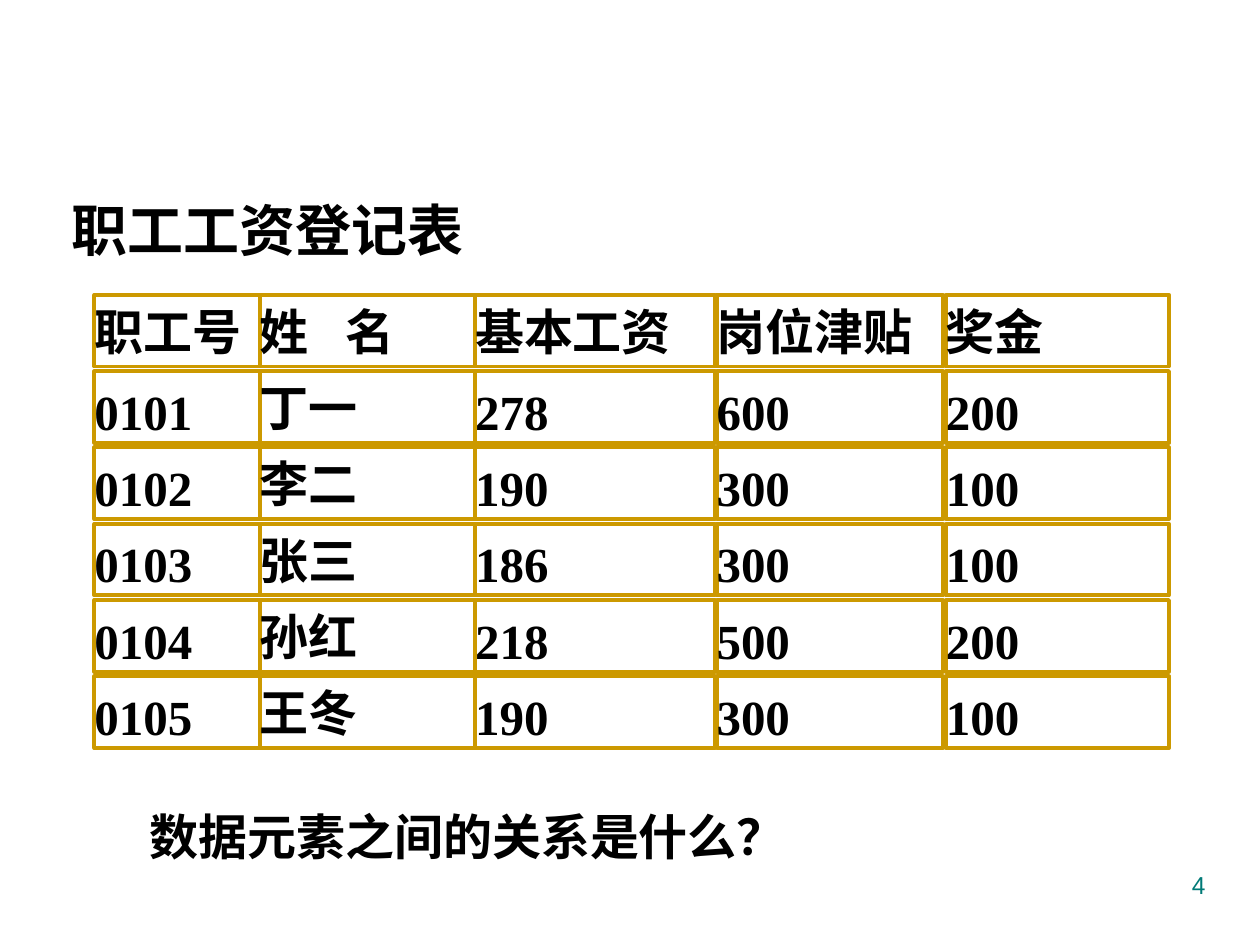
from dataclasses import dataclass

from lxml import etree
from pptx import Presentation
from pptx.dml.color import RGBColor
from pptx.enum.shapes import MSO_SHAPE
from pptx.enum.text import MSO_ANCHOR, PP_ALIGN
from pptx.oxml.ns import qn
from pptx.util import Pt

RECTANGLE = MSO_SHAPE.RECTANGLE
TOP, MIDDLE = MSO_ANCHOR.TOP, MSO_ANCHOR.MIDDLE
LEFT, RIGHT = PP_ALIGN.LEFT, PP_ALIGN.RIGHT


@dataclass(frozen=True)
class Theme:
    ink: RGBColor = RGBColor(0, 0, 0)
    border: RGBColor = RGBColor(0xCC, 0x99, 0x00)
    page: RGBColor = RGBColor(0x00, 0x7A, 0x77)
    sans: str = "Arial"
    serif: str = "Times New Roman"
    title_size: float = 32
    body_size: float = 28
    page_size: float = 14


theme = Theme()


def write_text(shape, text, *, size, font=theme.sans, color=theme.ink, bold=True,
               align=LEFT, anchor=MIDDLE, side=7.2, top=0, tab=None):
    frame = shape.text_frame
    frame.word_wrap = True
    frame.vertical_anchor = anchor
    frame.margin_left = frame.margin_right = Pt(side)
    frame.margin_top, frame.margin_bottom = Pt(top), Pt(0)
    paragraph = frame.paragraphs[0]
    paragraph.alignment = align
    if tab:
        tab_list = etree.SubElement(paragraph._p.get_or_add_pPr(), qn("a:tabLst"))
        etree.SubElement(tab_list, qn("a:tab"), pos=str(Pt(tab)), algn="l")
    run = paragraph.add_run()
    run.text = text
    run.font.name = font
    run.font.size = Pt(size)
    run.font.bold = bold
    run.font.color.rgb = color


presentation = Presentation()
presentation.slide_width, presentation.slide_height = Pt(720), Pt(540)
slide = presentation.slides.add_slide(presentation.slide_layouts[6])

title = slide.shapes.add_textbox(Pt(34), Pt(108), Pt(269), Pt(46))
write_text(title, "职工工资登记表", size=theme.title_size)

columns = [(54, 94.5), (148.5, 123), (271.5, 137), (409.5, 129.5), (540.5, 127.5)]
rows = [
    ("职工号", "姓\t名", "基本工资", "岗位津贴", "奖金"),
    ("0101", "丁一", "278", "600", "200"),
    ("0102", "李二", "190", "300", "100"),
    ("0103", "张三", "186", "300", "100"),
    ("0104", "孙红", "218", "500", "200"),
    ("0105", "王冬", "190", "300", "100"),
]
table_top, row_pitch, row_height = 168.5, 43.6, 41

for row_index, row in enumerate(rows):
    row_top = table_top + row_index * row_pitch
    for (left, width), value in zip(columns, row):
        cell = slide.shapes.add_shape(RECTANGLE, Pt(left), Pt(row_top), Pt(width), Pt(row_height))
        cell.shadow.inherit = False
        cell.fill.background()
        cell.line.color.rgb = theme.border
        cell.line.width = Pt(2.25)
        write_text(cell, value, size=theme.body_size, font=theme.serif, side=0,
                   top=4 if value.isdigit() else 0, tab=49 if "\t" in value else None)

question = slide.shapes.add_textbox(Pt(78.5), Pt(457), Pt(520), Pt(41))
write_text(question, "数据元素之间的关系是什么？", size=theme.body_size)

page_number = slide.shapes.add_textbox(Pt(516), Pt(492), Pt(180), Pt(37.5))
write_text(page_number, "4", size=theme.page_size, color=theme.page, bold=False,
           align=RIGHT, anchor=TOP, top=5)

presentation.save("out.pptx")
